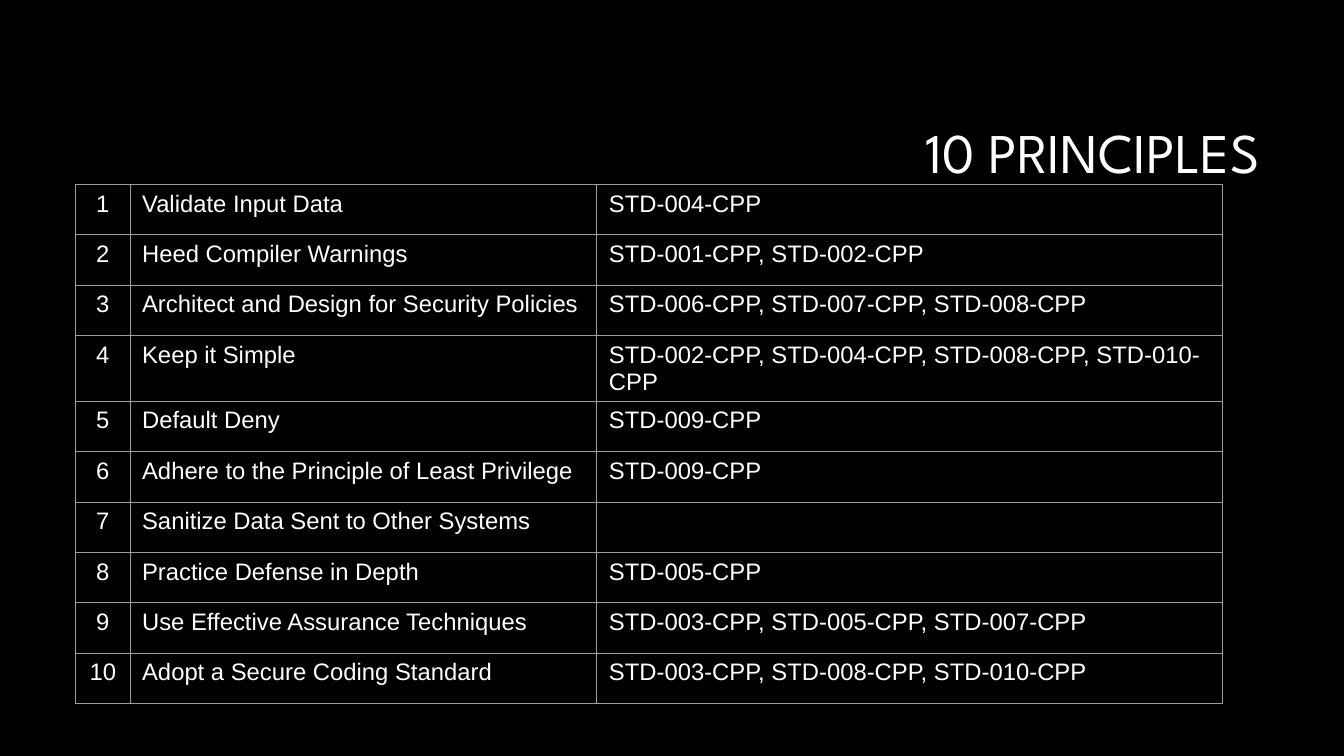
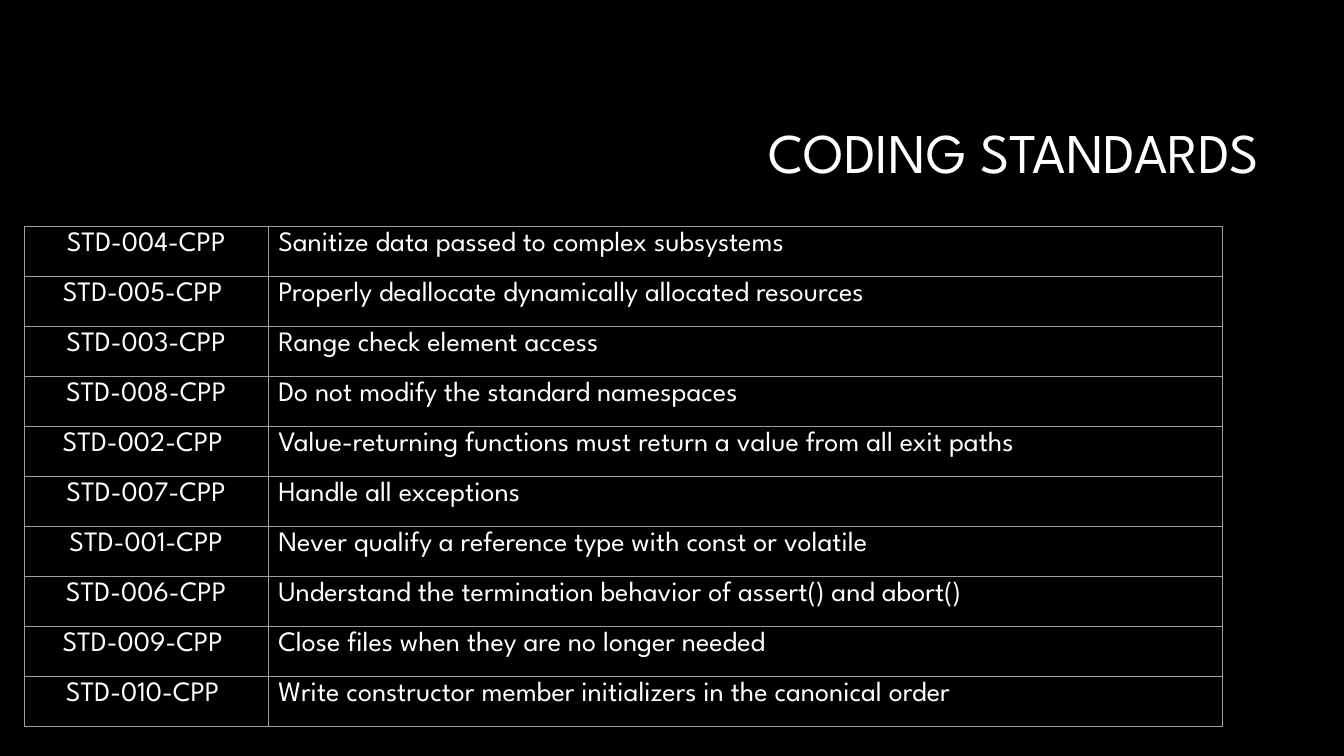
from lxml import etree
from pptx import Presentation
from pptx.dml.color import RGBColor
from pptx.enum import text
from pptx.oxml.ns import qn
from pptx.util import Inches, Pt

BLACK, WHITE, RULE_GREY = "000000", "FFFFFF", "9E9E9E"
DISPLAY_FONT, BODY_FONT = "League Spartan", "Arial"
TITLE_BOX = (3.17, 0.84, 9.42, 1.41)

PRINCIPLES = [
    ("1", "Validate Input Data", "STD-004-CPP"),
    ("2", "Heed Compiler Warnings", "STD-001-CPP, STD-002-CPP"),
    ("3", "Architect and Design for Security Policies",
     "STD-006-CPP, STD-007-CPP, STD-008-CPP"),
    ("4", "Keep it Simple",
     "STD-002-CPP, STD-004-CPP, STD-008-CPP, STD-010-CPP"),
    ("5", "Default Deny", "STD-009-CPP"),
    ("6", "Adhere to the Principle of Least Privilege", "STD-009-CPP"),
    ("7", "Sanitize Data Sent to Other Systems", ""),
    ("8", "Practice Defense in Depth", "STD-005-CPP"),
    ("9", "Use Effective Assurance Techniques",
     "STD-003-CPP, STD-005-CPP, STD-007-CPP"),
    ("10", "Adopt a Secure Coding Standard",
     "STD-003-CPP, STD-008-CPP, STD-010-CPP"),
]

STANDARDS = [
    ("STD-004-CPP", "Sanitize data passed to complex subsystems"),
    ("STD-005-CPP ", "Properly deallocate dynamically allocated resources"),
    ("STD-003-CPP", "Range check element access"),
    ("STD-008-CPP", "Do not modify the standard namespaces"),
    ("STD-002-CPP ",
     "Value-returning functions must return a value from all exit paths"),
    ("STD-007-CPP", "Handle all exceptions"),
    ("STD-001-CPP", "Never qualify a reference type with const or volatile"),
    ("STD-006-CPP",
     "Understand the termination behavior of assert() and abort()"),
    ("STD-009-CPP ", "Close files when they are no longer needed"),
    ("STD-010-CPP ",
     "Write constructor member initializers in the canonical order"),
]


def rgb(color):
    return RGBColor.from_string(color)


def set_font(paragraph, name, size):
    paragraph.font.name = name
    paragraph.font.size = Pt(size)
    paragraph.font.color.rgb = rgb(WHITE)


def add_titled_slide(prs, title_text):
    slide = prs.slides.add_slide(prs.slide_layouts.get_by_name("Title Only"))
    title = slide.shapes.title
    title.left, title.top, title.width, title.height = map(Inches, TITLE_BOX)
    frame = title.text_frame
    frame.text = title_text
    frame.word_wrap = True
    frame.auto_size = text.MSO_AUTO_SIZE.NONE
    frame.vertical_anchor = text.MSO_ANCHOR.MIDDLE
    heading = frame.paragraphs[0]
    heading.alignment = text.PP_ALIGN.RIGHT
    heading.line_spacing = 0.9
    set_font(heading, DISPLAY_FONT, 40)
    return slide


def rule_cell(cell):
    """Draw a thin grey rule on all four sides of the cell."""
    properties = cell._tc.get_or_add_tcPr()
    for index, side in enumerate(("lnL", "lnR", "lnT", "lnB")):
        line = etree.Element(qn(f"a:{side}"), w=str(Pt(0.75)))
        fill = etree.SubElement(line, qn("a:solidFill"))
        etree.SubElement(fill, qn("a:srgbClr"), val=RULE_GREY)
        properties.insert(index, line)


def add_ruled_table(slide, rows, left, top, widths, row_height,
                    font, size, margins):
    """Place a table whose first column is centred; margins are (x, y)."""
    table = slide.shapes.add_table(
        len(rows), len(widths), Inches(left), Inches(top),
        Inches(sum(widths)), Inches(row_height * len(rows))).table
    table.first_row = table.horz_banding = False
    for column, width in zip(table.columns, widths):
        column.width = Inches(width)
    margin_x, margin_y = map(Inches, margins)
    for row, values in zip(table.rows, rows):
        row.height = Inches(row_height)
        for index, (cell, value) in enumerate(zip(row.cells, values)):
            cell.fill.solid()
            cell.fill.fore_color.rgb = rgb(BLACK)
            cell.margin_left = cell.margin_right = margin_x
            cell.margin_top = cell.margin_bottom = margin_y
            rule_cell(cell)
            cell.text = value
            entry = cell.text_frame.paragraphs[0]
            entry.alignment = (text.PP_ALIGN.LEFT if index
                               else text.PP_ALIGN.CENTER)
            set_font(entry, font, size)


def main():
    prs = Presentation()
    prs.slide_width, prs.slide_height = Inches(13.33), Inches(7.5)
    background = prs.slide_master.background.fill
    background.solid()
    background.fore_color.rgb = rgb(BLACK)

    add_ruled_table(add_titled_slide(prs, "10 PRINCIPLES"), PRINCIPLES,
                    left=0.75, top=1.83, widths=(0.54, 4.63, 6.2),
                    row_height=0.5, font=BODY_FONT, size=17,
                    margins=(0.12, 0.06))
    add_ruled_table(add_titled_slide(prs, "CODING STANDARDS"), STANDARDS,
                    left=0.24, top=2.25, widths=(2.42, 9.46),
                    row_height=0.496, font=DISPLAY_FONT, size=20,
                    margins=(0.1, 0.05))
    prs.save("out.pptx")


if __name__ == "__main__":
    main()
